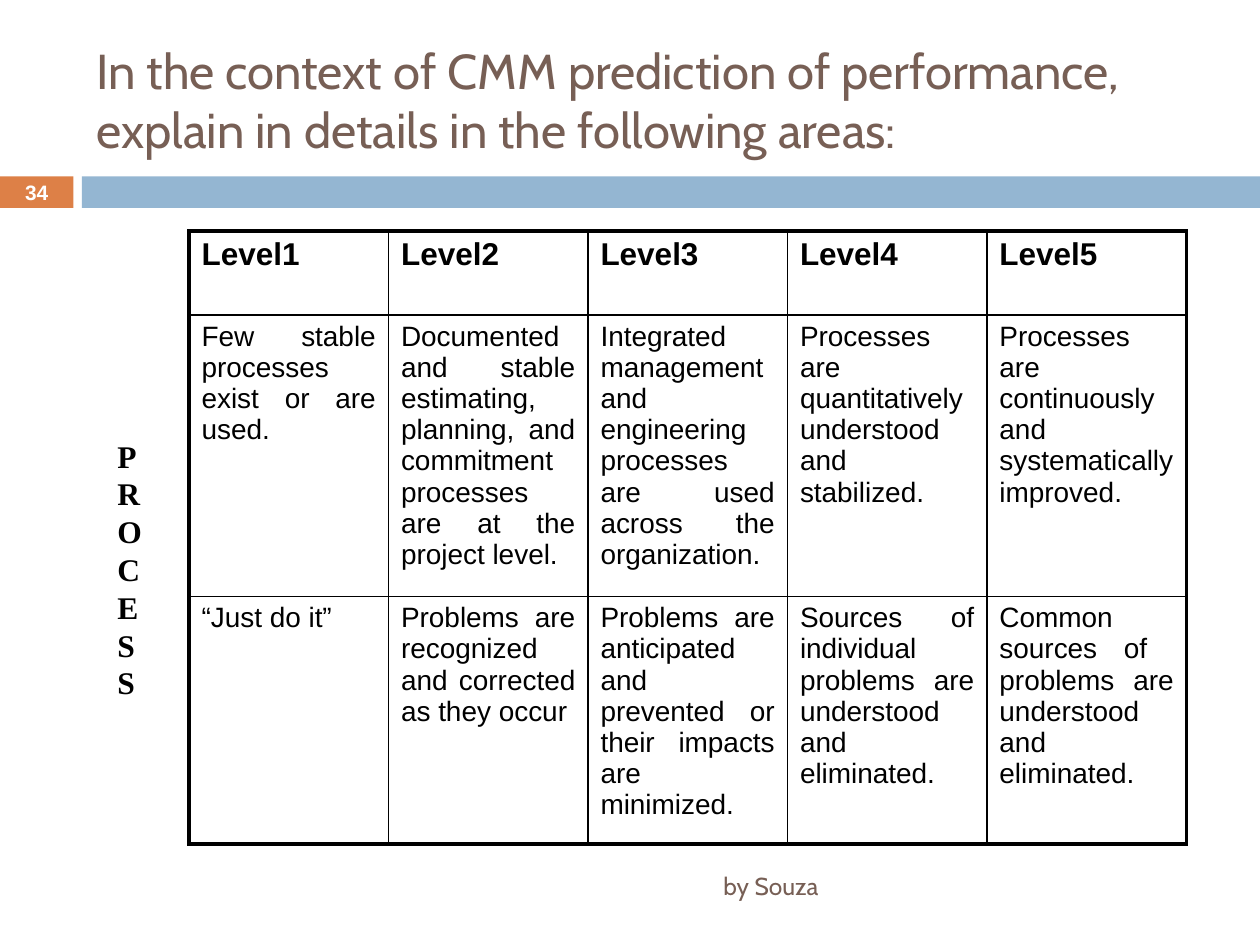
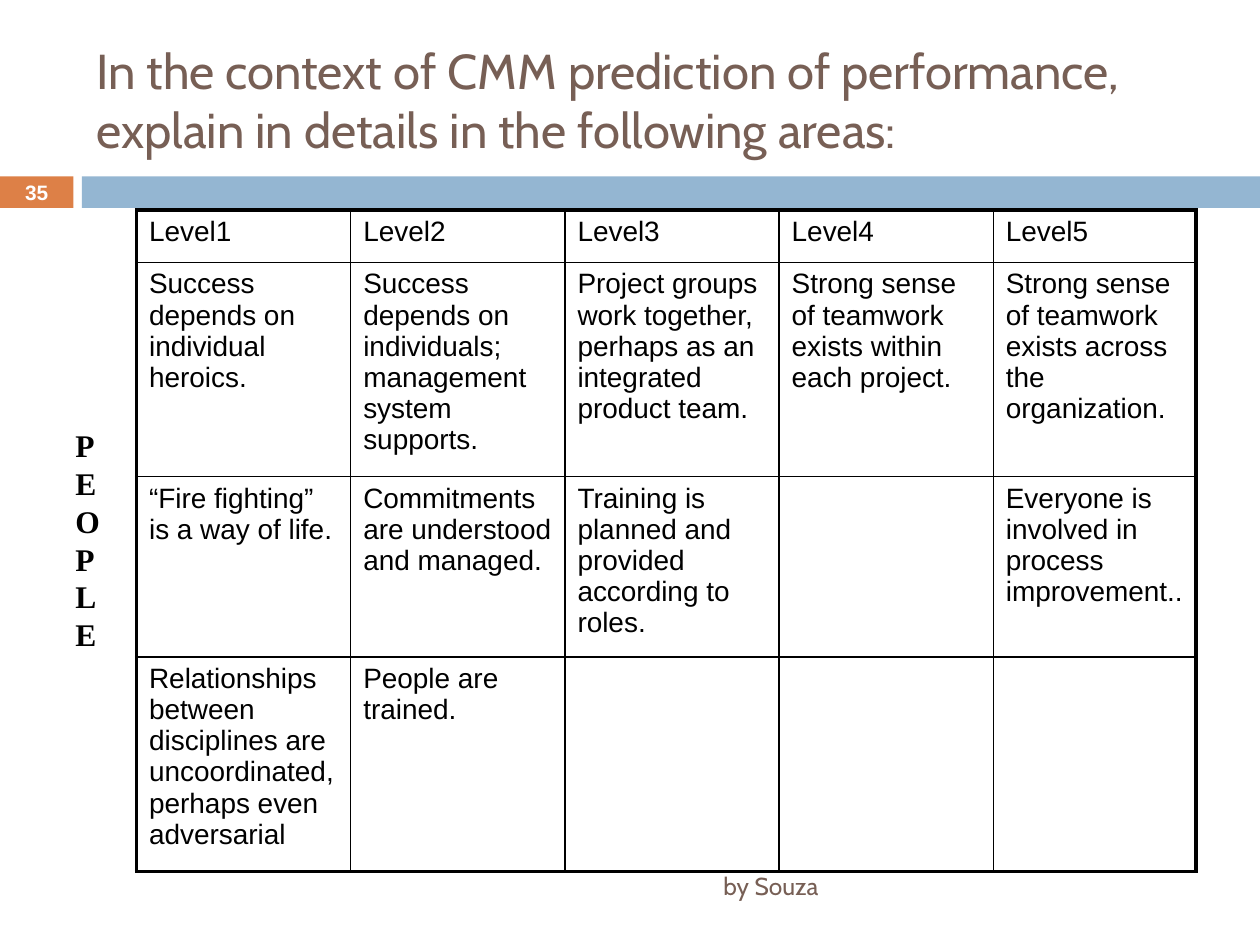
from dataclasses import dataclass
from typing import Optional

from lxml import etree
from pptx import Presentation
from pptx.dml.color import RGBColor
from pptx.enum.shapes import MSO_SHAPE
from pptx.enum.text import MSO_ANCHOR, PP_ALIGN
from pptx.oxml.ns import qn
from pptx.util import Emu, Inches, Pt

RECTANGLE = MSO_SHAPE.RECTANGLE
TOP, MIDDLE = MSO_ANCHOR.TOP, MSO_ANCHOR.MIDDLE
LEFT, CENTER = PP_ALIGN.LEFT, PP_ALIGN.CENTER
RIGHT, JUSTIFY = PP_ALIGN.RIGHT, PP_ALIGN.JUSTIFY

WIDTH, HEIGHT = Inches(10), Inches(7.5)
GRID_COLUMNS, GRID_ROWS = 24, 18

BROWN, ORANGE, BLUE = "775F55", "DD8047", "94B6D2"
BLACK, WHITE = "000000", "FFFFFF"
THIN, THICK = 1, 2.25
TITLE = (
    "In the context of CMM prediction of performance, "
    "explain in details in the following areas:"
)
FOOTER = "by Souza"
LEVELS = [f"Level{number}" for number in range(1, 6)]


@dataclass(frozen=True)
class Area:
    column: float
    row: float
    columns: float
    rows: float

    def bounds(self) -> tuple[Emu, Emu, Emu, Emu]:
        return across(self.column), down(self.row), across(self.columns), down(self.rows)


@dataclass(frozen=True)
class TextStyle:
    font: str
    size: float
    color: str
    bold: bool = False
    align: PP_ALIGN = LEFT
    line_height: Optional[float] = None


@dataclass(frozen=True)
class LevelPage:
    number: int
    dimension: str
    label_area: Area
    column: float
    row: float
    column_widths: list[float]
    row_heights: list[float]
    header_style: TextStyle
    body_align: PP_ALIGN
    left_aligned: set[tuple[int, int]]
    body: list[list[str]]


TITLE_STYLE = TextStyle("Cabin", 28, BROWN)
FOOTER_STYLE = TextStyle("Cabin", 14, BROWN, align=RIGHT)
NUMBER_STYLE = TextStyle("Arial", 11.9, WHITE, bold=True, align=CENTER)
LABEL_STYLE = TextStyle("Times New Roman", 18, BLACK, bold=True, line_height=21.6)
BOLD_HEADER = TextStyle("Arial", 18, BLACK, bold=True)
PLAIN_HEADER = TextStyle("Arial", 16, BLACK)

NUMBER_BAND = Area(0, 3.36, 1.4, 0.6)
WIDE_BAND = Area(1.56, 3.36, GRID_COLUMNS - 1.56, 0.6)
TITLE_AREA = Area(1.6, 0.6, 21.4, 2.6)
FOOTER_AREA = Area(1.6, 16.4, 14.23, 0.96)

PAGES = [
    LevelPage(
        number=34,
        dimension="PROCESS",
        label_area=Area(2, 8.2, 1, 5.28),
        column=3.6,
        row=4.4,
        column_widths=[3.8] * 5,
        row_heights=[1.6, 5.08, 4.47],
        header_style=BOLD_HEADER,
        body_align=JUSTIFY,
        left_aligned={(1, 4)},
        body=[
            [
                "Few stable processes exist or are used.",
                "Documented and stable estimating, planning, and commitment "
                "processes are at the project level.",
                "Integrated management and engineering processes are used "
                "across the organization.",
                "Processes are quantitatively understood and stabilized.",
                "Processes are continuously and systematically improved.",
            ],
            [
                "“Just do it”",
                "Problems are recognized and corrected as they occur",
                "Problems are anticipated and prevented or their impacts are minimized.",
                "Sources of individual problems are understood and eliminated.",
                "Common sources of  problems are understood and eliminated.",
            ],
        ],
    ),
    LevelPage(
        number=35,
        dimension="PEOPLE",
        label_area=Area(1.2, 8, 1, 4.56),
        column=2.6,
        row=4,
        column_widths=[4.08] * 4 + [3.86],
        row_heights=[1, 3.79, 3.28, 3.8],
        header_style=PLAIN_HEADER,
        body_align=LEFT,
        left_aligned=set(),
        body=[
            [
                "Success depends on individual heroics.",
                "Success depends on individuals; management system supports.",
                "Project groups work together, perhaps as an integrated product team.",
                "Strong sense of teamwork exists within each project.",
                "Strong sense of teamwork exists across the organization.",
            ],
            [
                "“Fire fighting” is a way of life.",
                "Commitments are understood and managed.",
                "Training is planned and provided according to roles.",
                "",
                "Everyone is involved in process improvement..",
            ],
            [
                "Relationships between disciplines are uncoordinated, "
                "perhaps even adversarial",
                "People are trained.",
                "",
                "",
                "",
            ],
        ],
    ),
]


def across(columns: float) -> Emu:
    return Emu(round(WIDTH * columns / GRID_COLUMNS))


def down(rows: float) -> Emu:
    return Emu(round(HEIGHT * rows / GRID_ROWS))


def rgb(color: str) -> RGBColor:
    return RGBColor.from_string(color)


def write(text_frame, text: str, style: TextStyle) -> None:
    text_frame.text = text
    text_frame.word_wrap = True
    for paragraph in text_frame.paragraphs:
        paragraph.alignment = style.align
        if style.line_height:
            paragraph.line_spacing = Pt(style.line_height)
        for span in paragraph.runs:
            span.font.name = style.font
            span.font.size = Pt(style.size)
            span.font.bold = style.bold
            span.font.color.rgb = rgb(style.color)


def add_text(page, area: Area, text: str, style: TextStyle, anchor: MSO_ANCHOR = MIDDLE) -> None:
    box = page.shapes.add_textbox(*area.bounds())
    write(box.text_frame, text, style)
    box.text_frame.vertical_anchor = anchor


def add_band(page, area: Area, color: str):
    band = page.shapes.add_shape(RECTANGLE, *area.bounds())
    band.shadow.inherit = False
    band.fill.solid()
    band.fill.fore_color.rgb = rgb(color)
    band.line.fill.background()
    return band


def add_frame(page, number: int) -> None:
    number_band = add_band(page, NUMBER_BAND, ORANGE)
    write(number_band.text_frame, str(number), NUMBER_STYLE)
    number_band.text_frame.vertical_anchor = MIDDLE
    number_band.text_frame.margin_top = number_band.text_frame.margin_bottom = 0
    add_band(page, WIDE_BAND, BLUE)
    add_text(page, TITLE_AREA, TITLE, TITLE_STYLE)
    add_text(page, FOOTER_AREA, FOOTER, FOOTER_STYLE)


def set_borders(cell, widths: dict[str, float]) -> None:
    properties = cell._tc.get_or_add_tcPr()
    for side, width in widths.items():
        line = etree.SubElement(properties, qn(f"a:ln{side}"), w=str(Pt(width)))
        fill = etree.SubElement(line, qn("a:solidFill"))
        etree.SubElement(fill, qn("a:srgbClr"), val=BLACK)


def add_level_table(page, content: LevelPage) -> None:
    rows = [LEVELS, *content.body]
    area = Area(
        content.column, content.row, sum(content.column_widths), sum(content.row_heights)
    )
    table = page.shapes.add_table(len(rows), len(LEVELS), *area.bounds()).table
    table.first_row = table.horz_banding = False
    for column, width in zip(table.columns, content.column_widths):
        column.width = across(width)
    for row, height in zip(table.rows, content.row_heights):
        row.height = down(height)
    last_row, last_column = len(rows) - 1, len(LEVELS) - 1
    for r, texts in enumerate(rows):
        for c, text in enumerate(texts):
            cell = table.cell(r, c)
            outer = {"L": c == 0, "R": c == last_column, "T": r == 0, "B": r == last_row}
            set_borders(cell, {side: THICK if edge else THIN for side, edge in outer.items()})
            cell.fill.background()
            cell.vertical_anchor = TOP
            align = LEFT if (r, c) in content.left_aligned else content.body_align
            body_style = TextStyle("Arial", 16, BLACK, align=align)
            write(cell.text_frame, text, content.header_style if r == 0 else body_style)


def main() -> None:
    deck = Presentation()
    deck.slide_width, deck.slide_height = WIDTH, HEIGHT
    blank = deck.slide_layouts[6]
    for content in PAGES:
        page = deck.slides.add_slide(blank)
        add_frame(page, content.number)
        add_level_table(page, content)
        add_text(page, content.label_area, content.dimension, LABEL_STYLE, TOP)
    deck.save("out.pptx")


if __name__ == "__main__":
    main()
